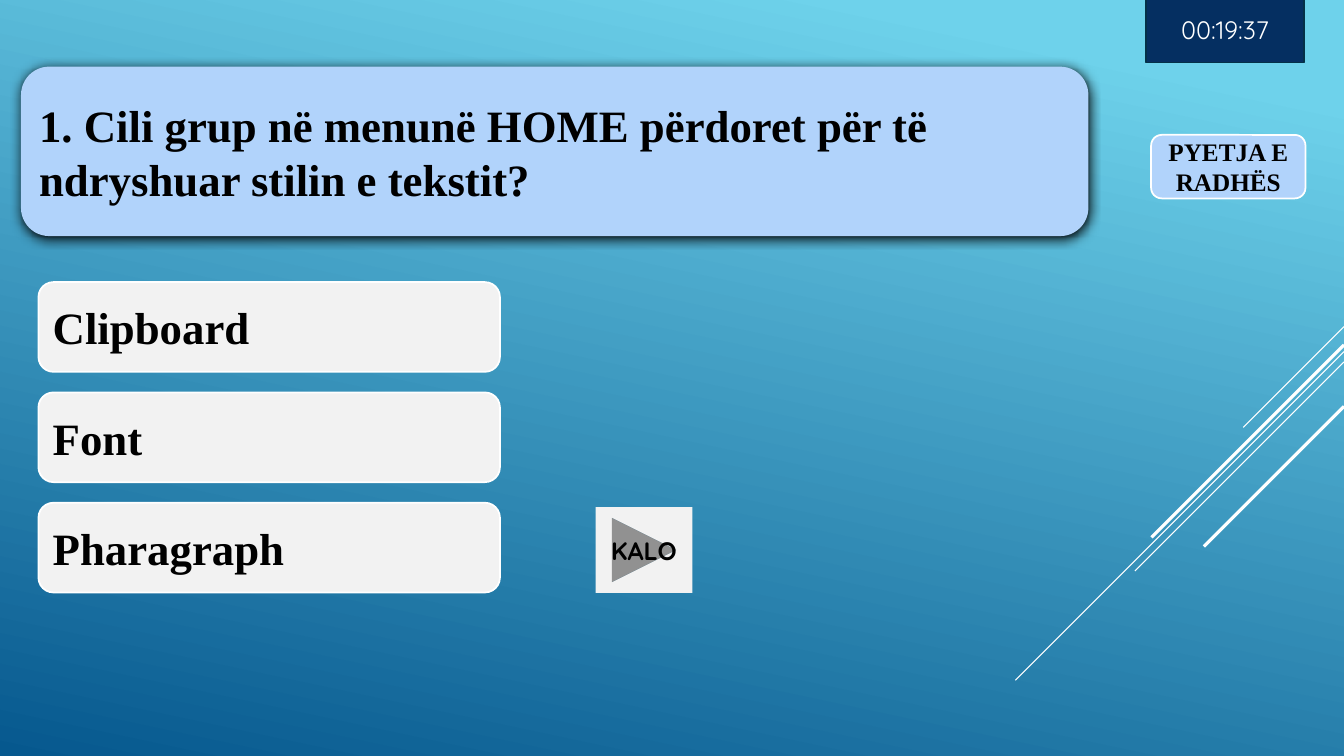
from dataclasses import dataclass

from lxml import etree
from pptx import Presentation
from pptx.dml.color import RGBColor
from pptx.enum.shapes import MSO_CONNECTOR, MSO_SHAPE
from pptx.enum.text import MSO_ANCHOR, MSO_AUTO_SIZE, PP_ALIGN
from pptx.oxml import parse_xml
from pptx.oxml.ns import nsdecls, qn
from pptx.shapes.autoshape import Shape
from pptx.slide import Slide
from pptx.text.text import TextFrame
from pptx.util import Cm, Pt

ROUNDED = MSO_SHAPE.ROUNDED_RECTANGLE
RECTANGLE = MSO_SHAPE.RECTANGLE
FORWARD_BUTTON = MSO_SHAPE.ACTION_BUTTON_FORWARD_OR_NEXT
STRAIGHT = MSO_CONNECTOR.STRAIGHT
MIDDLE = MSO_ANCHOR.MIDDLE
NO_AUTOFIT = MSO_AUTO_SIZE.NONE
LEFT = PP_ALIGN.LEFT
CENTER = PP_ALIGN.CENTER

BLACK = RGBColor(0x00, 0x00, 0x00)
WHITE = RGBColor(0xFF, 0xFF, 0xFF)
PALE_BLUE = RGBColor(0xB1, 0xD3, 0xFB)
PALE_GREY = RGBColor(0xF2, 0xF2, 0xF2)
NAVY = RGBColor(0x05, 0x2F, 0x61)
DARK_NAVY = RGBColor(0x04, 0x31, 0x48)
SKY = RGBColor(0x6E, 0xD2, 0xEB)
DEEP_BLUE = RGBColor(0x06, 0x58, 0x8E)

SERIF = "Times New Roman"
SANS = "Quicksand"
SLIDE_WIDTH = 33.87
SLIDE_HEIGHT = 19.05
TITLE_ONLY_LAYOUT = 5

QUESTION = "1. Cili grup në menunë HOME përdoret për të ndryshuar stilin e tekstit?"
ANSWERS = ("Clipboard", "Font", "Pharagraph")
ANSWER_TOP = 7.11
ANSWER_STEP = 2.78


@dataclass(frozen=True)
class TextStyle:
    font: str
    size: int
    color: RGBColor = BLACK
    bold: bool = True
    alignment: PP_ALIGN = CENTER


@dataclass(frozen=True)
class Box:
    left: float
    top: float
    width: float
    height: float
    geometry: MSO_SHAPE
    fill: RGBColor
    line: RGBColor | None = None
    text: str = ""
    style: TextStyle | None = None


@dataclass(frozen=True)
class Ray:
    top: float
    reach: float
    weight: float


LARGE_TEXT = TextStyle(SERIF, 32, alignment=LEFT)
BUTTON_TEXT = TextStyle(SERIF, 18)
SKIP_TEXT = TextStyle(SANS, 18)
TIMER_TEXT = TextStyle(SANS, 18, WHITE, False)

RAYS = (
    Ray(8.23, 2.54, 0.75),
    Ray(8.86, 8.28, 0.75),
    Ray(9.12, 5.27, 0.75),
    Ray(8.69, 4.85, 2.25),
    Ray(10.24, 3.53, 2.25),
)
QUESTION_PANEL = Box(0.53, 1.68, 26.9, 4.27, ROUNDED, PALE_BLUE)
ANSWER_BOXES = tuple(
    Box(0.97, ANSWER_TOP + index * ANSWER_STEP, 11.63, 2.26,
        ROUNDED, PALE_GREY, WHITE, answer, LARGE_TEXT)
    for index, answer in enumerate(ANSWERS)
)
CONTROLS = (
    Box(29.01, 3.4, 3.89, 1.6, ROUNDED, PALE_BLUE, WHITE, "PYETJA E RADHËS", BUTTON_TEXT),
    Box(15.01, 12.78, 2.44, 2.16, FORWARD_BUTTON, PALE_GREY, None, "KALO", SKIP_TEXT),
    Box(28.88, -0.1, 3.99, 1.68, RECTANGLE, NAVY, DARK_NAVY, "00:19:37", TIMER_TEXT),
)


def write_text(frame: TextFrame, text: str, style: TextStyle) -> None:
    frame.word_wrap = True
    frame.auto_size = NO_AUTOFIT
    frame.vertical_anchor = MIDDLE
    paragraph = frame.paragraphs[0]
    paragraph.alignment = style.alignment
    run = paragraph.add_run()
    run.text = text
    run.font.name = style.font
    run.font.size = Pt(style.size)
    run.font.bold = style.bold
    run.font.color.rgb = style.color


def draw_box(slide: Slide, box: Box) -> Shape:
    shape = slide.shapes.add_shape(
        box.geometry, Cm(box.left), Cm(box.top), Cm(box.width), Cm(box.height))
    shape.shadow.inherit = False
    shape.fill.solid()
    shape.fill.fore_color.rgb = box.fill
    if box.line is None:
        shape.line.fill.background()
    else:
        shape.line.color.rgb = box.line
        shape.line.width = Pt(1.25)
    if box.style is not None:
        write_text(shape.text_frame, box.text, box.style)
    return shape


def draw_ray(slide: Slide, ray: Ray) -> None:
    connector = slide.shapes.add_connector(
        STRAIGHT, Cm(SLIDE_WIDTH), Cm(ray.top),
        Cm(SLIDE_WIDTH - ray.reach), Cm(ray.top + ray.reach))
    connector.line.color.rgb = WHITE
    connector.line.width = Pt(ray.weight)
    etree.SubElement(connector.element.spPr, qn("a:effectLst"))


def draw_question(slide: Slide) -> None:
    panel = draw_box(slide, QUESTION_PANEL)
    effects = panel.element.spPr.find(qn("a:effectLst"))
    effects.append(parse_xml(
        f'<a:outerShdw {nsdecls("a")} blurRad="{Pt(8.5)}" dist="{Pt(1)}" '
        'dir="5400000" algn="ctr" rotWithShape="0">'
        '<a:srgbClr val="000000"/></a:outerShdw>'))
    title = slide.shapes.title
    title.left, title.top = Cm(0.73), panel.top
    title.width, title.height = Cm(26.5), panel.height
    write_text(title.text_frame, QUESTION, LARGE_TEXT)
    panel.element.addnext(title.element)


def paint_background(slide: Slide) -> None:
    fill = slide.background.fill
    fill.gradient()
    fill.gradient_angle = 258
    for stop, position, color in zip(fill.gradient_stops, (0.1, 1), (SKY, DEEP_BLUE)):
        stop.position = position
        stop.color.rgb = color


def main() -> None:
    presentation = Presentation()
    presentation.slide_width = Cm(SLIDE_WIDTH)
    presentation.slide_height = Cm(SLIDE_HEIGHT)
    slide = presentation.slides.add_slide(presentation.slide_layouts[TITLE_ONLY_LAYOUT])
    paint_background(slide)
    for ray in RAYS:
        draw_ray(slide, ray)
    draw_question(slide)
    for box in ANSWER_BOXES + CONTROLS:
        draw_box(slide, box)
    presentation.save("out.pptx")


if __name__ == "__main__":
    main()
